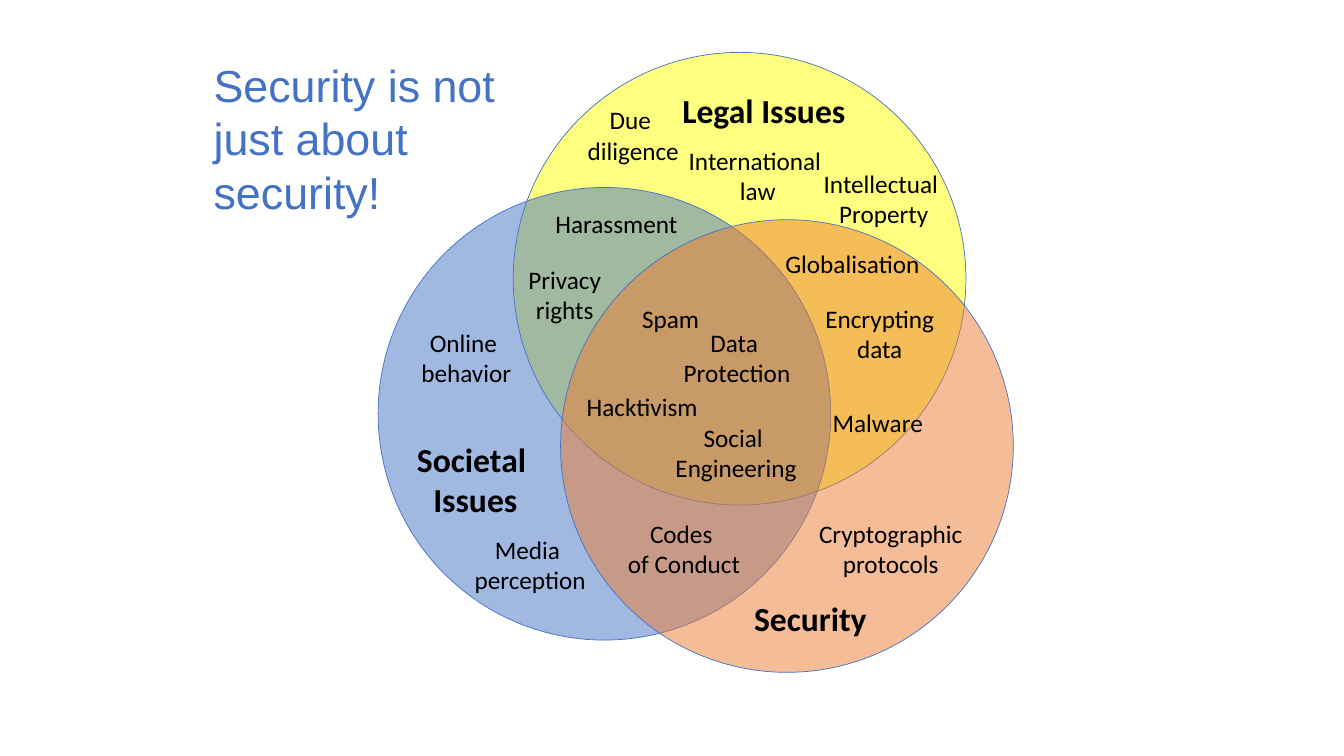
"""Build a slide with a Venn diagram of legal, societal and security issues."""
from dataclasses import dataclass

from lxml.etree import SubElement
from pptx import Presentation
from pptx.dml.color import RGBColor
from pptx.enum.shapes import MSO_SHAPE
from pptx.enum.text import MSO_AUTO_SIZE, PP_ALIGN
from pptx.oxml.ns import qn
from pptx.util import Inches, Pt

TITLE = (2.02, 0.52, 3.7, ["Security is not", "just about", "security!"])

CIRCLES = [
    ("legal", 5.09, 0.52),
    ("societal", 3.75, 1.86),
    ("security", 5.56, 2.18),
]

HEADINGS = [
    (6.67, 0.84, 1.84, ["Legal Issues"]),
    (4.03, 4.3, 1.37, ["Societal ", "Issues"]),
    (7.38, 5.88, 1.41, ["Security"]),
]

TOPICS = [
    (5.09, 2.57, 1.02, ["Privacy", "rights"]),
    (8.01, 5.09, 1.65, ["Cryptographic", "protocols"]),
    (8.08, 2.96, 1.29, ["Encrypting", "data"]),
    (8.16, 3.99, 1.11, ["Malware"]),
    (6.67, 3.2, 1.28, ["Data ", "Protection"]),
    (6.27, 2.96, 0.77, ["Spam"]),
    (6.12, 5.09, 1.33, ["Codes ", "of Conduct"]),
    (6.59, 4.14, 1.42, ["Social ", "Engineering"]),
    (5.72, 0.99, 1.12, ["Due ", "diligence"]),
    (4.07, 3.2, 1.11, ["Online ", "behavior"]),
    (5.41, 2.02, 1.44, ["Harassment"]),
    (5.72, 3.83, 1.31, ["Hacktivism"]),
    (8.06, 1.62, 1.41, ["Intellectual ", "Property"]),
    (7.69, 2.41, 1.55, ["Globalisation"]),
    (6.72, 1.39, 1.59, ["International ", "law"]),
    (4.54, 5.25, 1.38, ["Media", " perception"]),
]


@dataclass(frozen=True)
class TextStyle:
    """Look of one kind of text."""
    font: str
    size: int
    color: str
    bold: bool = False
    wrap: bool = False


class Theme:
    """Colours, type styles and shared measures."""
    fills = {"legal": "FFFF00", "societal": "4472C4", "security": "ED7D31"}
    outline = "4472C4"
    outline_width = 0.5
    opacity = 50
    diameter = 4.49
    padding = 0.1
    line_height = 0.017
    title = TextStyle("Arial", 32, "4472C4", wrap=True)
    heading = TextStyle("Calibri", 24, "000000", bold=True)
    topic = TextStyle("Calibri", 18, "000000")


def add_circle(page, name, left, top):
    """Add one translucent circle."""
    size = Inches(Theme.diameter)
    circle = page.shapes.add_shape(MSO_SHAPE.OVAL, Inches(left), Inches(top), size, size)
    circle.shadow.inherit = False
    circle.fill.solid()
    circle.fill.fore_color.rgb = RGBColor.from_string(Theme.fills[name])
    color = circle.fill._xPr.find(qn("a:solidFill"))[0]
    SubElement(color, qn("a:alpha"), val=str(Theme.opacity * 1000))
    circle.line.color.rgb = RGBColor.from_string(Theme.outline)
    circle.line.width = Pt(Theme.outline_width)


def add_text(page, style, left, top, width, lines):
    """Add a text box as tall as its lines, centring labels of several lines."""
    height = Theme.padding + Theme.line_height * style.size * len(lines)
    box = page.shapes.add_textbox(Inches(left), Inches(top), Inches(width), Inches(height))
    frame = box.text_frame
    frame.word_wrap = style.wrap
    frame.auto_size = MSO_AUTO_SIZE.SHAPE_TO_FIT_TEXT
    frame.text = "\n".join(lines)
    centred = len(lines) > 1 and style is not Theme.title
    for para in frame.paragraphs:
        para.alignment = PP_ALIGN.CENTER if centred else PP_ALIGN.LEFT
        para.font.name = style.font
        para.font.size = Pt(style.size)
        para.font.bold = style.bold
        para.font.color.rgb = RGBColor.from_string(style.color)


def main():
    """Build and save the deck."""
    deck = Presentation()
    deck.slide_width, deck.slide_height = Inches(13.33), Inches(7.5)
    page = deck.slides.add_slide(deck.slide_layouts[6])
    for circle in CIRCLES:
        add_circle(page, *circle)
    for style, labels in (
        (Theme.title, [TITLE]),
        (Theme.heading, HEADINGS),
        (Theme.topic, TOPICS),
    ):
        for label in labels:
            add_text(page, style, *label)
    deck.save("out.pptx")


if __name__ == "__main__":
    main()
